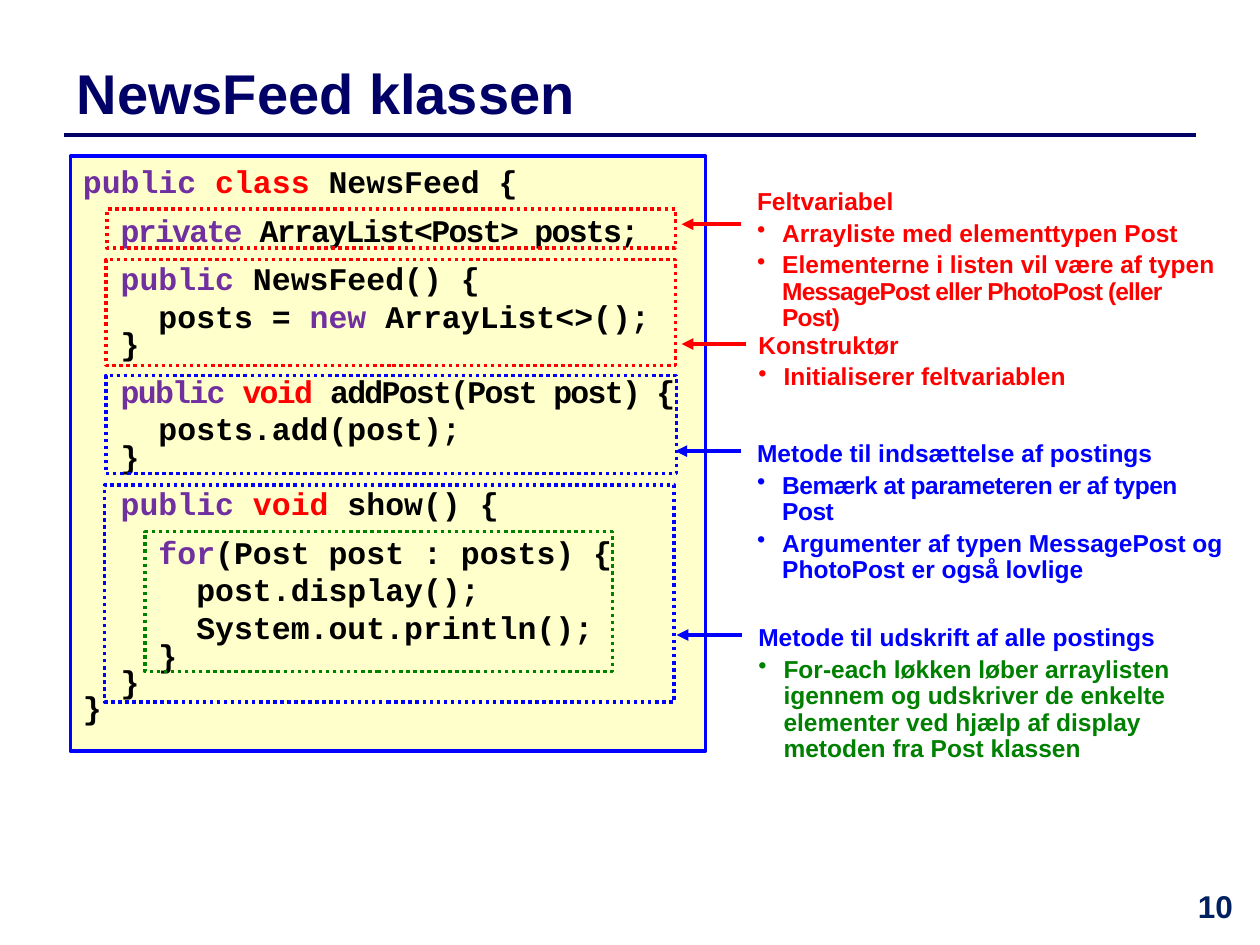
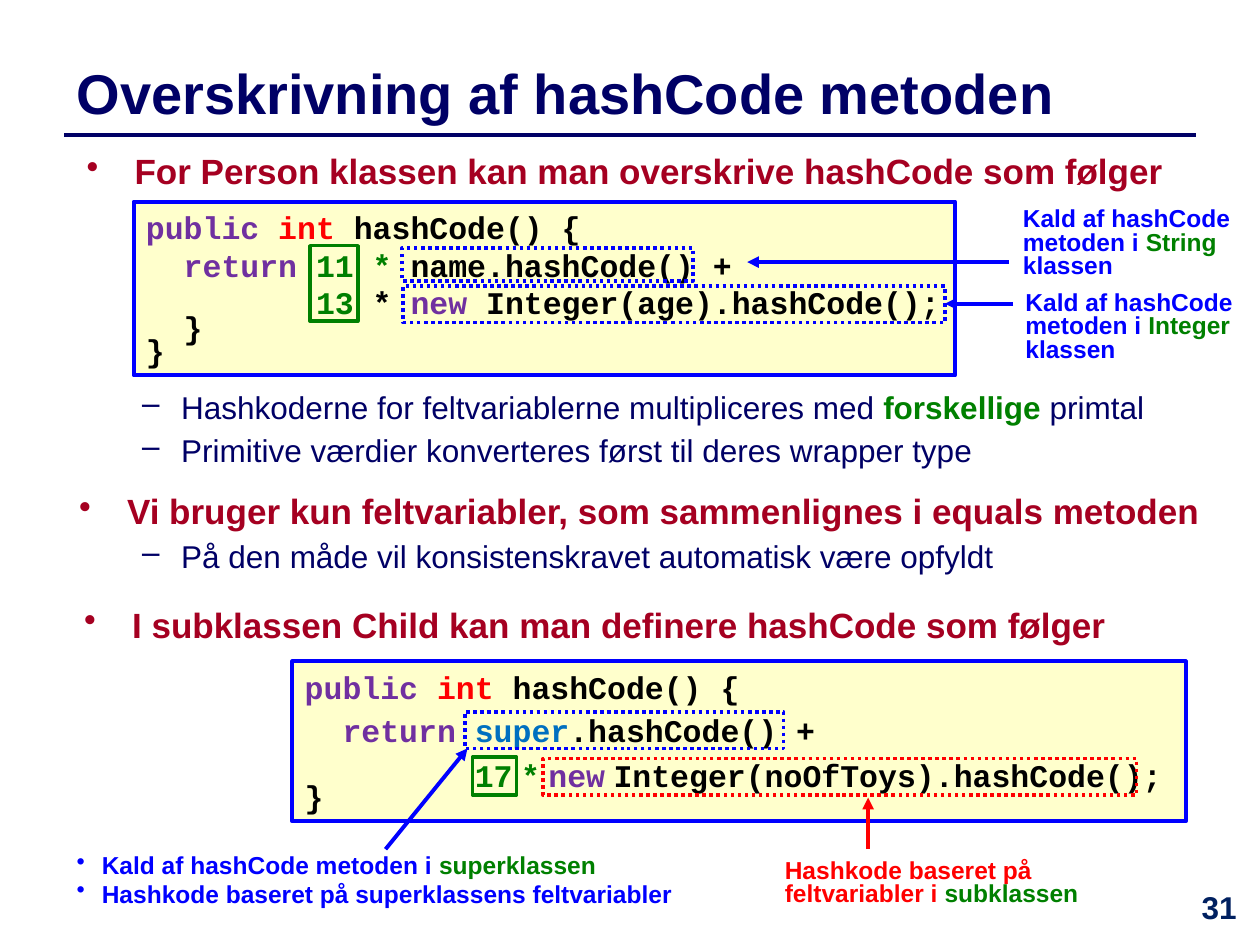
from pptx import Presentation
from pptx.dml.color import RGBColor
from pptx.enum.dml import MSO_LINE
from pptx.enum.shapes import MSO_CONNECTOR, MSO_SHAPE
from pptx.enum.text import MSO_ANCHOR, PP_ALIGN
from pptx.oxml.ns import qn
from pptx.util import Inches, Pt
from lxml import etree

RECT = MSO_SHAPE.RECTANGLE
STRAIGHT = MSO_CONNECTOR.STRAIGHT
DOTTED = MSO_LINE.ROUND_DOT
MIDDLE = MSO_ANCHOR.MIDDLE
CENTER = PP_ALIGN.CENTER

COLORS = {
    "navy": "000066", "number": "002060", "wine": "A50021", "cream": "FFFFCC",
    "blue": "0000FF", "red": "FF0000", "green": "008000", "black": "000000",
    "purple": "7030A0", "sky": "0070C0",
}
RGB = {name: RGBColor.from_string(value) for name, value in COLORS.items()}

# Paragraph formats; CHAR is the width of one 18 pt code character
CHAR = 0.15
NOTE = dict(left=0.2, hang=-0.2, bullet="•", line=0.9, before=3)
TIGHT = {**NOTE, "line": 0.8}
HEAD = dict(left=0.38, hang=-0.38, bullet="•", before=12)
DASH = dict(left=0.81, hang=-0.31, bullet="–", before=3)
HEAD_RUN = dict(size=20, color="wine", bold=True)
CODE_STYLE = dict(size=18, font="Courier New")
NOTE_STYLE = dict(size=14)
SMALL = dict(size=8)
SQUEEZE = dict(spc=-1)


def write(tf, paragraphs, size=18, color="black", font="Arial", bold=True, align=None):
    """Fill a frame; a paragraph is (runs, format), a run (text, overrides)."""
    tf.word_wrap = True
    for i, (runs, fmt) in enumerate(paragraphs):
        p = tf.paragraphs[0] if i == 0 else tf.add_paragraph()
        p.alignment = align
        p.line_spacing = fmt.get("line")
        if "before" in fmt:
            p.space_before = Pt(fmt["before"])
        pPr = p._p.get_or_add_pPr()
        pPr.set("marL", str(Inches(fmt.get("left", 0))))
        pPr.set("indent", str(Inches(fmt.get("hang", 0))))
        if "bullet" in fmt:
            etree.SubElement(pPr, qn("a:buChar")).set("char", fmt["bullet"])
        for text, own in runs:
            own = {"color": own} if isinstance(own, str) else own
            r = p.add_run()
            r.text = text
            r.font.name = font
            r.font.size = Pt(own.get("size", size))
            r.font.bold = own.get("bold", bold)
            r.font.color.rgb = RGB[own.get("color", color)]
            if "spc" in own:
                r._r.get_or_add_rPr().set("spc", str(round(own["spc"] * 100)))


def add_rect(s, box, line, width, fill=None, dash=None):
    sp = s.shapes.add_shape(RECT, *map(Inches, box))
    sp.shadow.inherit = False
    if fill:
        sp.fill.solid()
        sp.fill.fore_color.rgb = RGB[fill]
    else:
        sp.fill.background()
    sp.line.color.rgb = RGB[line]
    sp.line.width = Pt(width)
    sp.line.dash_style = dash
    return sp


# Slide contents
news_feed = dict(
    title="NewsFeed klassen", number="10", number_at=(9.29, 6.99),
    code=[((0.56, 1.24, 5.04, 4.72), [
        ([("public ", "purple"), ("class ", "red"), ("NewsFeed {", {})], {}),
        ([("private ", {"color": "purple", **SQUEEZE}), ("ArrayList<Post> posts;", SQUEEZE)],
         dict(left=2 * CHAR, before=6)),
        ([("public ", "purple"), ("NewsFeed() {", {})], dict(left=2 * CHAR, before=6)),
        ([("posts = ", {}), ("new ", "purple"), ("ArrayList<>();", {})], dict(left=4 * CHAR)),
        ([("}", {})], dict(left=2 * CHAR, line=0.7)),
        ([("public ", {"color": "purple", **SQUEEZE}), ("void ", {"color": "red", **SQUEEZE}),
          ("addPost(Post post) {", SQUEEZE)], dict(left=2 * CHAR, before=6)),
        ([("posts.add(post);", {})], dict(left=4 * CHAR)),
        ([("}", {})], dict(left=2 * CHAR, line=0.7)),
        ([("public ", "purple"), ("void", "red"), (" show() {", {})],
         dict(left=2 * CHAR, before=6)),
        ([("for", "purple"), ("(Post post : posts) {", {})], dict(left=4 * CHAR, before=6)),
        ([("post.display();", {})], dict(left=6 * CHAR)),
        ([("System.out.println();", {})], dict(left=6 * CHAR)),
        ([("}", {})], dict(left=4 * CHAR, line=0.7)),
        ([("}", {})], dict(left=2 * CHAR, line=0.7)),
        ([("}", {})], dict(line=0.7)),
    ])],
    texts=[
        ((5.91, 1.43, 3.89, 1.06), dict(color="red", **NOTE_STYLE), [
            ([("Feltvariabel", {})], {}),
            ([("Arrayliste med elementtypen Post", {})], NOTE),
            ([("Elementerne i listen vil være af typen ", {}),
              ("MessagePost eller PhotoPost (eller Post)", dict(spc=-0.5))], NOTE),
        ]),
        ((5.92, 2.57, 2.71, 0.59), dict(color="red", **NOTE_STYLE), [
            ([("Konstruktør", {})], {}),
            ([("Initialiserer feltvariablen", {})], NOTE),
        ]),
        ((5.91, 3.43, 3.98, 1.06), dict(color="blue", **NOTE_STYLE), [
            ([("Metode til indsættelse af postings", {})], {}),
            ([("Bemærk at parameteren er af typen Post", dict(spc=-0.3))], NOTE),
            ([("Argumenter af typen MessagePost og PhotoPost er også lovlige", {})], NOTE),
        ]),
        ((5.92, 4.89, 3.72, 1.23), dict(color="blue", **NOTE_STYLE), [
            ([("Metode til udskrift af alle postings", {})], {}),
            ([("For-each løkken løber arraylisten igennem og udskriver de enkelte "
               "elementer ved hjælp af display metoden fra Post klassen", "green")], NOTE),
        ]),
    ],
    frames=[
        ((0.85, 1.66, 4.51, 0.31), "red", DOTTED),
        ((0.84, 2.06, 4.52, 0.84), "red", DOTTED),
        ((0.84, 2.98, 4.53, 0.78), "blue", DOTTED),
        ((0.83, 3.85, 4.52, 1.72), "blue", DOTTED),
        ((1.15, 4.22, 3.71, 1.11), "green", DOTTED),
    ],
    arrows=[
        ((5.88, 1.78, 5.41, 1.78), "red"),
        ((5.92, 2.73, 5.41, 2.73), "red"),
        ((5.88, 3.58, 5.36, 3.58), "blue"),
        ((5.89, 5.04, 5.37, 5.04), "blue"),
    ],
)

hash_code = dict(
    title="Overskrivning af hashCode metoden", number="31", number_at=(9.32, 7),
    code=[
        ((1.06, 1.6, 6.52, 1.38), [
            ([("public ", "purple"), ("int ", "red"), ("hashCode() {", {})], {}),
            ([("return ", "purple"), ("11 * ", "green"), ("name.hashCode() +", {})],
             dict(left=2 * CHAR)),
            ([("13 ", "green"), ("* ", {}), ("new", "purple"),
              (" Integer(age).hashCode();", {})], dict(left=9 * CHAR)),
            ([("}", {})], dict(left=2 * CHAR, line=0.6)),
            ([("}", {})], dict(line=0.6)),
        ]),
        ((2.32, 5.25, 7.09, 1.27), [
            ([("public ", "purple"), ("int ", "red"), ("hashCode() {", {})], {}),
            ([("return ", "purple"), ("super", "sky"), (".hashCode() +", {})],
             dict(left=2 * CHAR, before=3)),
            ([("17", "green"), (" ", SMALL), ("*", "green"), (" ", SMALL), ("new", "purple"),
              (" ", SMALL), ("Integer(noOfToys).hashCode();", {})],
             dict(left=9 * CHAR, before=4)),
            ([("}", {})], dict(line=0.5)),
        ]),
    ],
    texts=[
        ((0.59, 1.14, 8.96, 0.43), {}, [
            ([("For Person klassen kan man overskrive hashCode som følger", HEAD_RUN)], HEAD),
        ]),
        ((0.53, 3.03, 9.19, 1.67), dict(color="navy", bold=False), [
            ([("Hashkoderne for feltvariablerne multipliceres med ", {}),
              ("forskellige ", dict(color="green", bold=True)), ("primtal", {})], DASH),
            ([("Primitive værdier konverteres først til deres wrapper type", {})], DASH),
            ([("Vi bruger kun feltvariabler, som sammenlignes i equals metoden", HEAD_RUN)], HEAD),
            ([("På den måde vil konsistenskravet automatisk være opfyldt", {})], DASH),
        ]),
        ((0.57, 4.74, 9.15, 0.48), {}, [
            ([("I subklassen Child kan man definere hashCode som følger", HEAD_RUN)], HEAD),
        ]),
        ((0.51, 6.74, 5.04, 0.52), dict(color="blue", **NOTE_STYLE), [
            ([("Kald af hashCode metoden i ", {}), ("superklassen", "green")], TIGHT),
            ([("Hashkode baseret på superklassens feltvariabler", {})], TIGHT),
        ]),
        ((6.13, 6.78, 2.89, 0.48), dict(color="red", **NOTE_STYLE), [
            ([("Hashkode baseret på feltvariabler i ", {}), ("subklassen", "green")],
             dict(line=0.8)),
        ]),
    ] + [
        ((left, top, 1.93, 0.67), dict(color="blue", **NOTE_STYLE), [
            ([("Kald af hashCode metoden i ", {}), (name, "green"), (" klassen", {})],
             dict(line=0.8, before=3)),
        ]) for left, top, name in [(8.02, 1.61, "String"), (8.04, 2.27, "Integer")]
    ],
    frames=[
        ((2.46, 1.95, 0.38, 0.6), "green", None),
        ((3.19, 1.97, 2.31, 0.26), "blue", DOTTED),
        ((3.2, 2.27, 4.3, 0.29), "blue", DOTTED),
        ((3.69, 5.65, 2.53, 0.29), "blue", DOTTED),
        ((3.75, 6.01, 0.35, 0.3), "green", None),
        ((4.31, 6.02, 4.71, 0.29), "red", DOTTED),
    ],
    arrows=[
        ((8.01, 2.08, 5.93, 2.08), "blue"),
        ((8.04, 2.41, 7.5, 2.41), "blue"),
        ((3.06, 6.74, 3.71, 5.94), "blue"),
        ((6.89, 6.74, 6.89, 6.33), "red"),
    ],
)

prs = Presentation()
prs.slide_width, prs.slide_height = Inches(10), Inches(7.5)

for content in (news_feed, hash_code):
    s = prs.slides.add_slide(prs.slide_layouts[6])

    # Title and page number
    tf = s.shapes.add_textbox(*map(Inches, (0.51, 0.36, 8.98, 0.75))).text_frame
    tf.vertical_anchor = MIDDLE
    write(tf, [([(content["title"], {})], {})], size=32, color="navy")
    tf = s.shapes.add_textbox(*map(Inches, (*content["number_at"], 0.71, 0.5))).text_frame
    write(tf, [([(content["number"], {})], {})], color="number", align=CENTER)

    # Code boxes
    for box, lines in content["code"]:
        sp = add_rect(s, box, "blue", 2.25, fill="cream")
        sp.text_frame.vertical_anchor = MSO_ANCHOR.TOP
        write(sp.text_frame, lines, align=PP_ALIGN.LEFT, **CODE_STYLE)

    # Bullets and notes
    for box, style, paragraphs in content["texts"]:
        tf = s.shapes.add_textbox(*map(Inches, box)).text_frame
        write(tf, paragraphs, **style)

    # Frames around code parts
    for box, color, dash in content["frames"]:
        add_rect(s, box, color, 2, dash=dash)

    # Title rule and arrows
    rule = ((0.51, 1.07, 9.49, 1.07), "navy")
    for ends, color in [rule] + content["arrows"]:
        cx = s.shapes.add_connector(STRAIGHT, *map(Inches, ends))
        cx.line.color.rgb = RGB[color]
        cx.line.width = Pt(2 if color == "navy" else 2.25)
        if color != "navy":
            ln = cx.line._get_or_add_ln()
            etree.SubElement(ln, qn("a:tailEnd")).set("type", "triangle")
        etree.SubElement(cx._element.spPr, qn("a:effectLst"))

prs.save("out.pptx")
